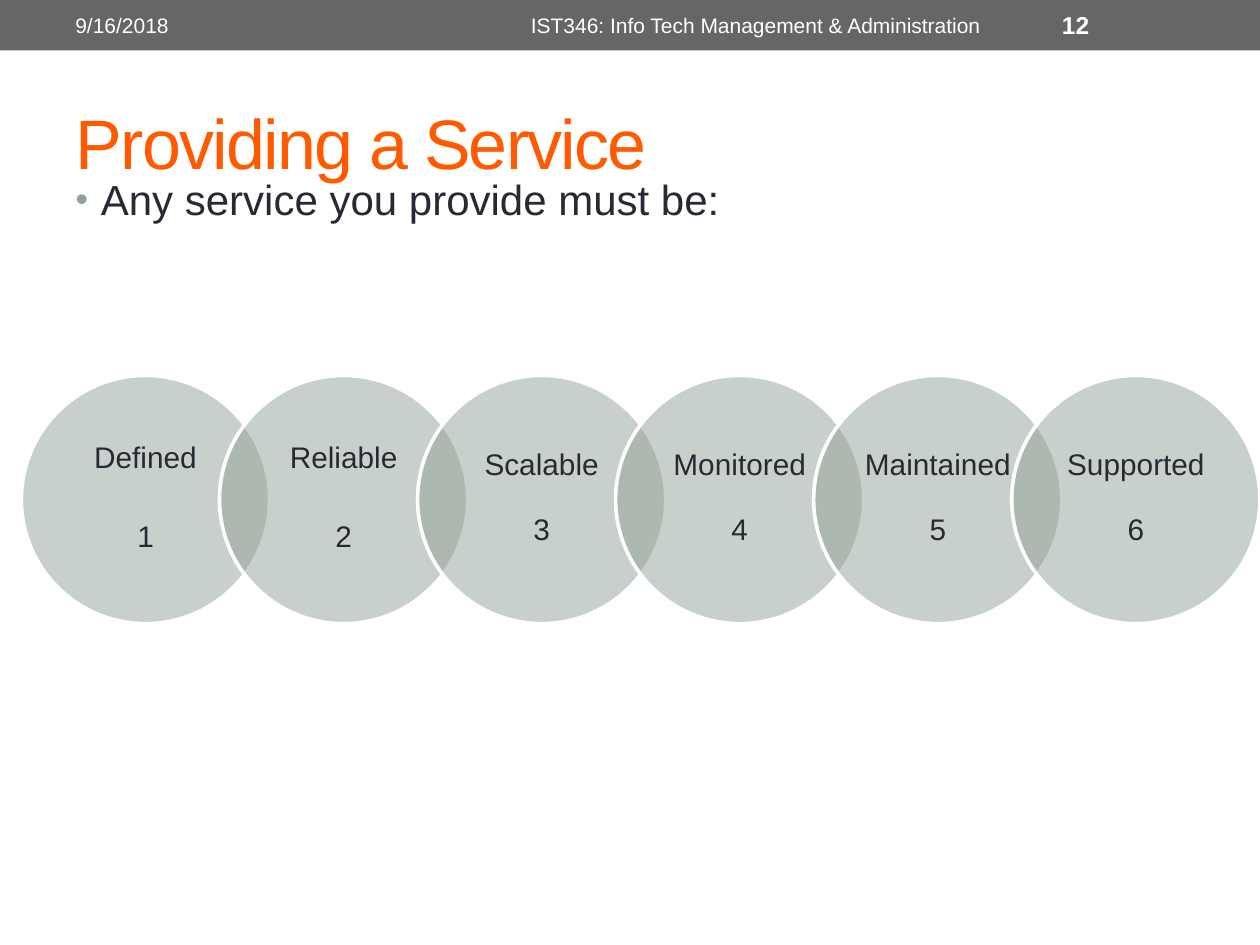
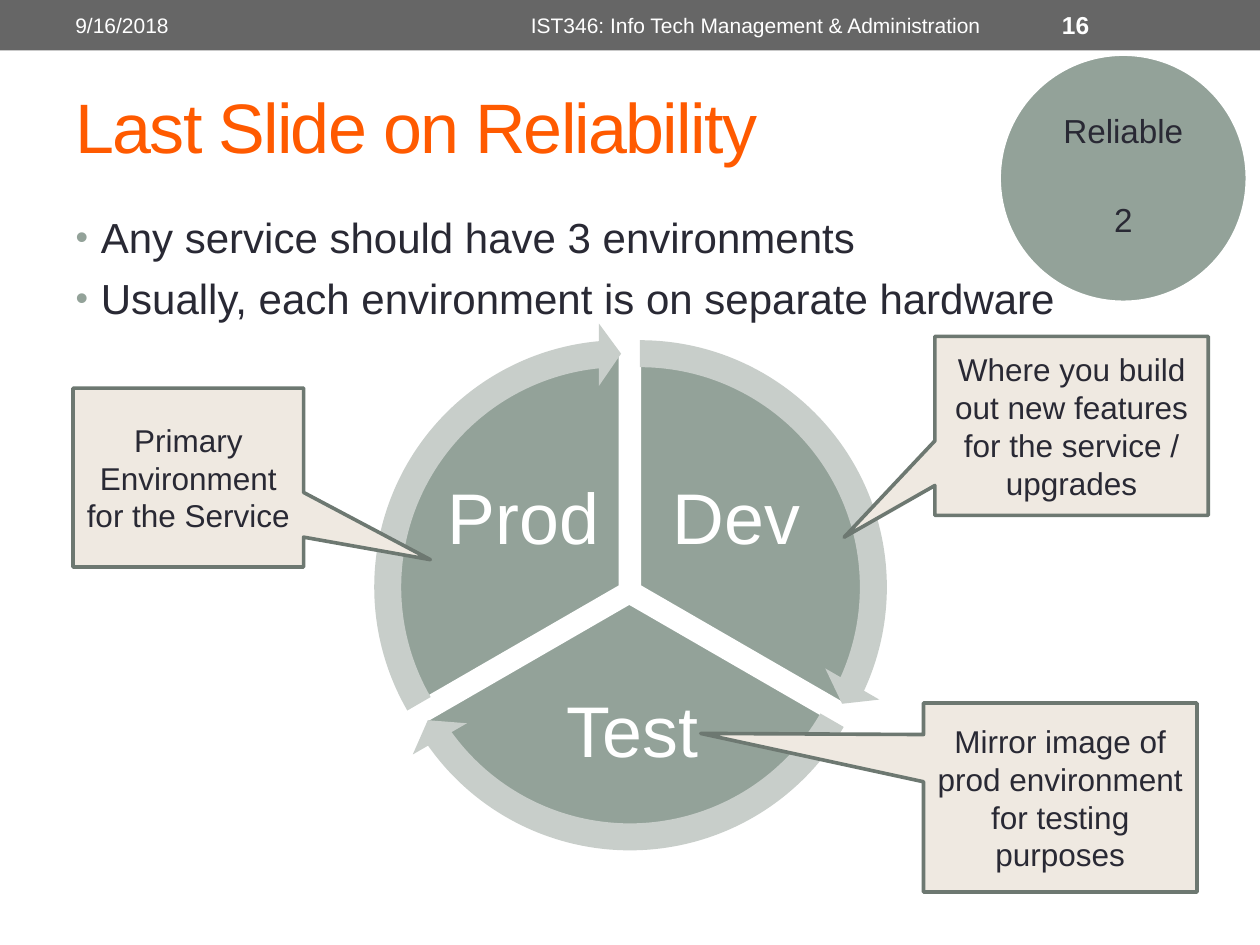
"""Build two service-management slides: the six service traits and the three environments."""
from lxml import etree
from pptx import Presentation
from pptx.dml.color import RGBColor
from pptx.enum.shapes import MSO_SHAPE
from pptx.enum.text import MSO_ANCHOR, MSO_AUTO_SIZE, PP_ALIGN
from pptx.oxml.ns import qn
from pptx.util import Inches, Pt

RECT, OVAL, PIE = MSO_SHAPE.RECTANGLE, MSO_SHAPE.OVAL, MSO_SHAPE.PIE
ARROW, CALLOUT = MSO_SHAPE.CIRCULAR_ARROW, MSO_SHAPE.RECTANGULAR_CALLOUT
LEFT, CENTER = PP_ALIGN.LEFT, PP_ALIGN.CENTER
TOP, MIDDLE = MSO_ANCHOR.TOP, MSO_ANCHOR.MIDDLE
NO_FIT = MSO_AUTO_SIZE.NONE

WHITE = RGBColor(0xFF, 0xFF, 0xFF)
BAND = RGBColor(0x66, 0x66, 0x66)
ORANGE = RGBColor(0xFF, 0x5A, 0x00)
INK = RGBColor(0x29, 0x29, 0x34)
SAGE = RGBColor(0x93, 0xA2, 0x99)
PALE_SAGE = RGBColor(0xC8, 0xCE, 0xCA)
CREAM = RGBColor(0xEF, 0xE9, 0xE1)
CALLOUT_EDGE = RGBColor(0x6D, 0x78, 0x71)

TITLE = {"size": Pt(40), "color": ORANGE}
BODY = {"size": Pt(24), "color": INK}
FOOTER = {"size": Pt(12), "color": WHITE}
NUMBER = {"size": Pt(14), "color": WHITE, "bold": True}
TRAIT = {"size": Pt(17), "color": INK}
BADGE = {"size": Pt(19), "color": INK}
STAGE = {"size": Pt(41), "color": WHITE}
NOTE = {"size": Pt(18), "color": INK}


def write(sp, lines, fmt, align=LEFT, anchor=MIDDLE, gap=0, spacing=1.0, inset=0.1, bullet=False):
    """Fill a shape with formatted paragraphs and return its runs."""
    tf = sp.text_frame
    tf.word_wrap, tf.auto_size, tf.vertical_anchor = True, NO_FIT, anchor
    tf.margin_left = tf.margin_right = Inches(inset)
    tf.margin_top = tf.margin_bottom = Inches(0.05)
    runs = []
    for i, line in enumerate(lines):
        p = tf.paragraphs[0] if i == 0 else tf.add_paragraph()
        if bullet:
            pPr = p._p.get_or_add_pPr()
            pPr.set("marL", str(Inches(0.2)))
            pPr.set("indent", str(-Inches(0.2)))
            color = etree.SubElement(pPr, qn("a:buClr"))
            etree.SubElement(color, qn("a:srgbClr"), val=str(SAGE))
            etree.SubElement(pPr, qn("a:buSzPct"), val="85000")
            etree.SubElement(pPr, qn("a:buFont"), typeface="Arial")
            etree.SubElement(pPr, qn("a:buChar"), char="•")
        p.alignment, p.line_spacing = align, spacing
        p.space_before, p.space_after = Pt(gap if i else 0), Pt(0)
        r = p.add_run()
        r.text = line
        r.font.name = "Arial"
        for key, value in fmt.items():
            if key == "color":
                r.font.color.rgb = value
            else:
                setattr(r.font, key, value)
        runs.append(r)
    return runs


def draw(s, kind, box, fill, line=None, adj=()):
    """Add a flat preset shape."""
    sp = s.shapes.add_shape(kind, *map(Inches, box))
    sp.shadow.inherit = False
    sp.fill.solid()
    sp.fill.fore_color.rgb = fill
    if line is None:
        sp.line.fill.background()
    else:
        sp.line.color.rgb = line
        sp.line.width = Pt(2.08)
    for i, value in enumerate(adj):
        sp.adjustments[i] = value
    return sp


prs = Presentation()
prs.slide_width, prs.slide_height = Inches(10), Inches(7.5)

pages = [
    ("Providing a Service", 1.08, ["Any service you provide must be:"], (0.5, 1.33, 9, 0.67), "12"),
    ("Last Slide on Reliability", 0.84,
     ["Any service should have 3 environments",
      "Usually, each environment is on separate hardware"], (0.5, 1.63, 9, 3.04), "16"),
]
slides = []
for title, title_height, bullets, body_box, number in pages:
    s = prs.slides.add_slide(prs.slide_layouts[1])
    slides.append(s)
    heading, body = s.placeholders[0], s.placeholders[1]
    for sp, box in ((heading, (0.5, 0.58, 9, title_height)), (body, body_box)):
        sp.left, sp.top, sp.width, sp.height = map(Inches, box)
    for r in write(heading, [title], TITLE):
        r._r.get_or_add_rPr().set("spc", "-100")
    write(body, bullets, BODY, anchor=TOP, gap=6, bullet=True)
    draw(s, RECT, (0, 0, 10, 0.4), BAND)
    for left, width, text, fmt, align in (
        (0.5, 3.17, "9/16/2018", FOOTER, LEFT),
        (3.75, 4.5, "IST346: Info Tech Management & Administration", FOOTER, CENTER),
        (8.33, 1.17, number, NUMBER, LEFT),
    ):
        sp = s.shapes.add_textbox(*map(Inches, (left, 0.02, width, 0.36)))
        write(sp, [text], fmt, align)

traits_slide, environments_slide = slides

traits = ["Defined", "Reliable", "Scalable", "Monitored", "Maintained", "Supported"]
circles = [(traits_slide, 0.17 + 1.572 * i, 2.98, name, str(i + 1), TRAIT, 27 if i < 2 else 19)
           for i, name in enumerate(traits)]
badge = (environments_slide, 7.93, 0.43, "Reliable", "2", BADGE, 30.5)

stages = [("Dev", 3.21, 2.79, (5.18, 3.58, 1.33, 1.11)),
          ("Test", 3.13, 2.92, (4.02, 5.34, 2, 0.98)),
          ("Prod", 3.06, 2.79, (3.49, 3.58, 1.33, 1.11))]
arcs = [(162, 18), (18, 90), (90, 162)]
s = environments_slide
for (name, left, top, label_box), arc in zip(stages, arcs):
    draw(s, PIE, (left, top, 3.73, 3.73), SAGE, WHITE, arc)
    sp = s.shapes.add_textbox(*map(Inches, label_box))
    write(sp, [name], STAGE, CENTER, spacing=0.9, inset=0.06)
for (name, left, top, label_box), (start, end) in zip(stages, arcs):
    draw(s, ARROW, (left - 0.23, top - 0.23, 4.2, 4.2), PALE_SAGE,
         adj=(0.051, 3.275, end - 3.275, start, 0.059))

for text, box, tip in (
    ("Primary Environment for the Service", (0.58, 3.08, 1.83, 1.42), (1.05, 0.459)),
    ("Where you build out new features for the service / upgrades",
     (7.42, 2.67, 2.17, 1.42), (-0.832, 0.622)),
    ("Mirror image of prod environment for testing purposes",
     (7.33, 5.58, 2.17, 1.5), (-1.315, -0.339)),
):
    write(draw(s, CALLOUT, box, CREAM, CALLOUT_EDGE, tip), [text], NOTE, CENTER)

for s, left, top, name, number, fmt, gap in circles + [badge]:
    sp = draw(s, OVAL, (left, top, 1.97, 1.97), SAGE, WHITE)
    if s is traits_slide:
        color = sp.fill._xPr.find(qn("a:solidFill"))[0]
        etree.SubElement(color, qn("a:alpha"), val="50000")
    sp = s.shapes.add_textbox(*map(Inches, (left + 0.29, top + 0.28, 1.39, 1.39)))
    write(sp, [name, number], fmt, CENTER, gap=gap, spacing=0.9, inset=0.05)

prs.save("out.pptx")
